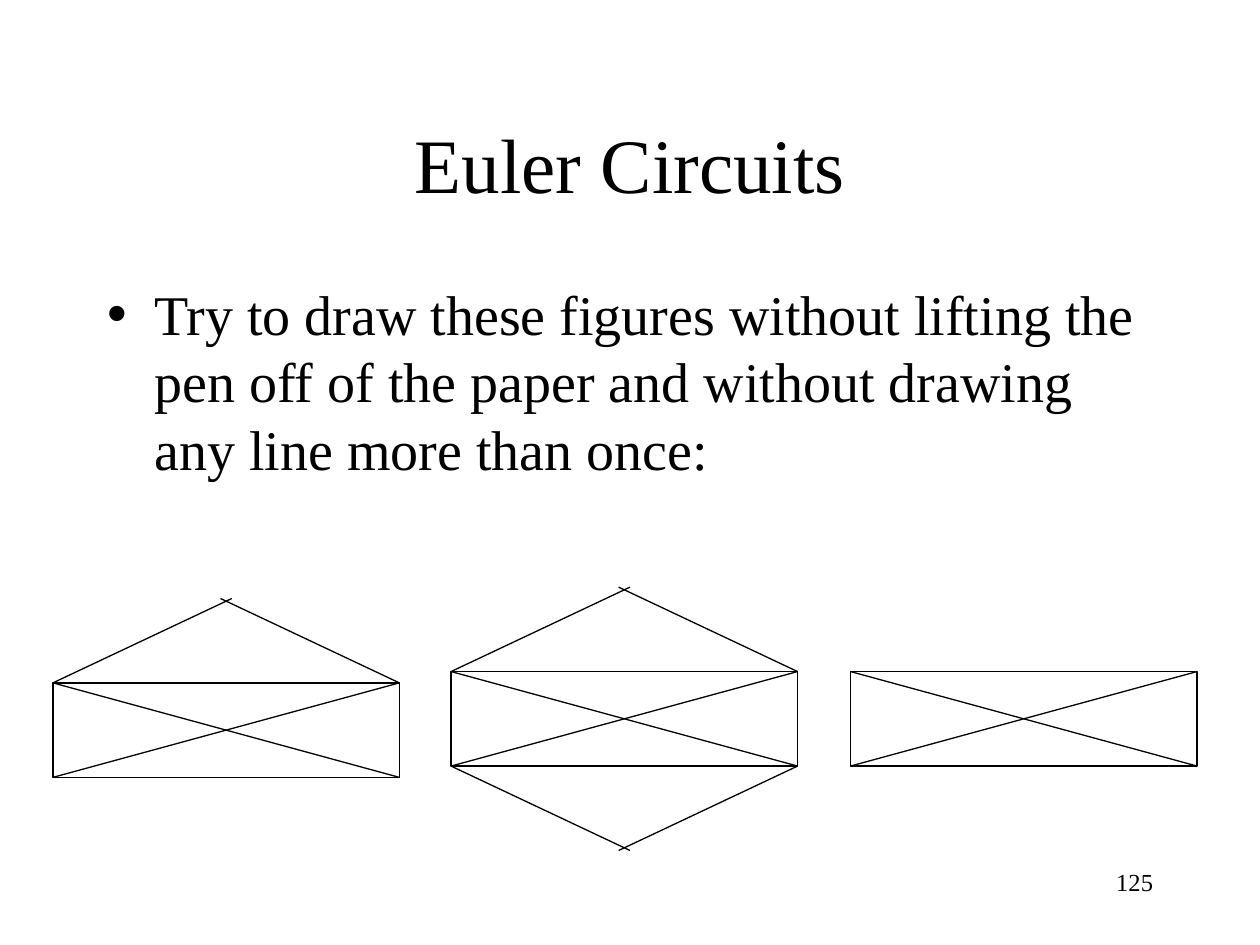
from dataclasses import dataclass

from lxml.etree import SubElement
from pptx import Presentation
from pptx.dml.color import RGBColor
from pptx.enum.shapes import MSO_CONNECTOR as Connector, MSO_SHAPE as Preset
from pptx.enum.text import MSO_ANCHOR as Anchor, MSO_AUTO_SIZE as AutoSize, PP_ALIGN as Align
from pptx.oxml.ns import qn
from pptx.slide import Slide
from pptx.util import Inches, Pt

INK = "000000"
FONT = "Times New Roman"
BOX_WIDTH, BOX_HEIGHT = 2.75, 0.75
ROOF_HEIGHT = 0.67
ROOF_REACH = 1.42  # a little over half the box, so the roof lines cross


@dataclass
class Figure:
    left: float
    top: float
    roof_above: bool = False
    roof_below: bool = False


FIGURES = [
    Figure(0.42, 5.42, roof_above=True),
    Figure(3.58, 5.33, roof_above=True, roof_below=True),
    Figure(6.75, 5.33),
]


def color(hex_code: str) -> RGBColor:
    return RGBColor.from_string(hex_code)


def place(shape, left: float, top: float, width: float, height: float) -> None:
    shape.left, shape.top = Inches(left), Inches(top)
    shape.width, shape.height = Inches(width), Inches(height)


def write(shape, text: str, size: float, align: Align, anchor: Anchor) -> None:
    frame = shape.text_frame
    frame.word_wrap = True
    frame.auto_size = AutoSize.NONE
    frame.vertical_anchor = anchor
    paragraph = frame.paragraphs[0]
    paragraph.alignment = align
    run = paragraph.add_run()
    run.text = text
    run.font.size = Pt(size)
    run.font.name = FONT
    run.font.color.rgb = color(INK)


def style_line(shape) -> None:
    shape.line.color.rgb = color(INK)
    shape.line.width = Pt(0.75)


def draw_line(slide: Slide, x1: float, y1: float, x2: float, y2: float) -> None:
    line = slide.shapes.add_connector(
        Connector.STRAIGHT, Inches(x1), Inches(y1), Inches(x2), Inches(y2))
    style_line(line)
    SubElement(line._element.spPr, qn("a:effectLst"))


def draw_roof(slide: Slide, left: float, base: float, tip: float) -> None:
    right = left + BOX_WIDTH
    draw_line(slide, left, base, left + ROOF_REACH, tip)
    draw_line(slide, right, base, right - ROOF_REACH, tip)


def draw_figure(slide: Slide, figure: Figure) -> None:
    left, top = figure.left, figure.top
    right, bottom = left + BOX_WIDTH, top + BOX_HEIGHT
    box = slide.shapes.add_shape(
        Preset.RECTANGLE, Inches(left), Inches(top), Inches(BOX_WIDTH), Inches(BOX_HEIGHT))
    box.shadow.inherit = False
    box.fill.background()
    style_line(box)
    # Diagonals
    draw_line(slide, left, top, right, bottom)
    draw_line(slide, left, bottom, right, top)
    if figure.roof_above:
        draw_roof(slide, left, top, top - ROOF_HEIGHT)
    if figure.roof_below:
        draw_roof(slide, left, bottom, bottom + ROOF_HEIGHT)


def main() -> None:
    deck = Presentation()
    deck.slide_width, deck.slide_height = Inches(10), Inches(7.5)
    slide = deck.slides.add_slide(deck.slide_layouts[1])

    # Title and task
    title, task = slide.placeholders
    place(title, 0.75, 0.67, 8.5, 1.25)
    write(title, "Euler Circuits", 44, Align.CENTER, Anchor.MIDDLE)
    place(task, 0.75, 2.17, 8.5, 1.83)
    write(task, "Try to draw these figures without lifting the pen off of the paper "
          "and without drawing any line more than once:", 32, Align.LEFT, Anchor.TOP)

    # Figures to draw
    for figure in FIGURES:
        draw_figure(slide, figure)

    # Page number
    page_number = slide.shapes.add_textbox(
        Inches(7.17), Inches(6.83), Inches(2.08), Inches(0.5))
    write(page_number, "125", 14, Align.RIGHT, Anchor.TOP)

    deck.save("out.pptx")


if __name__ == "__main__":
    main()
